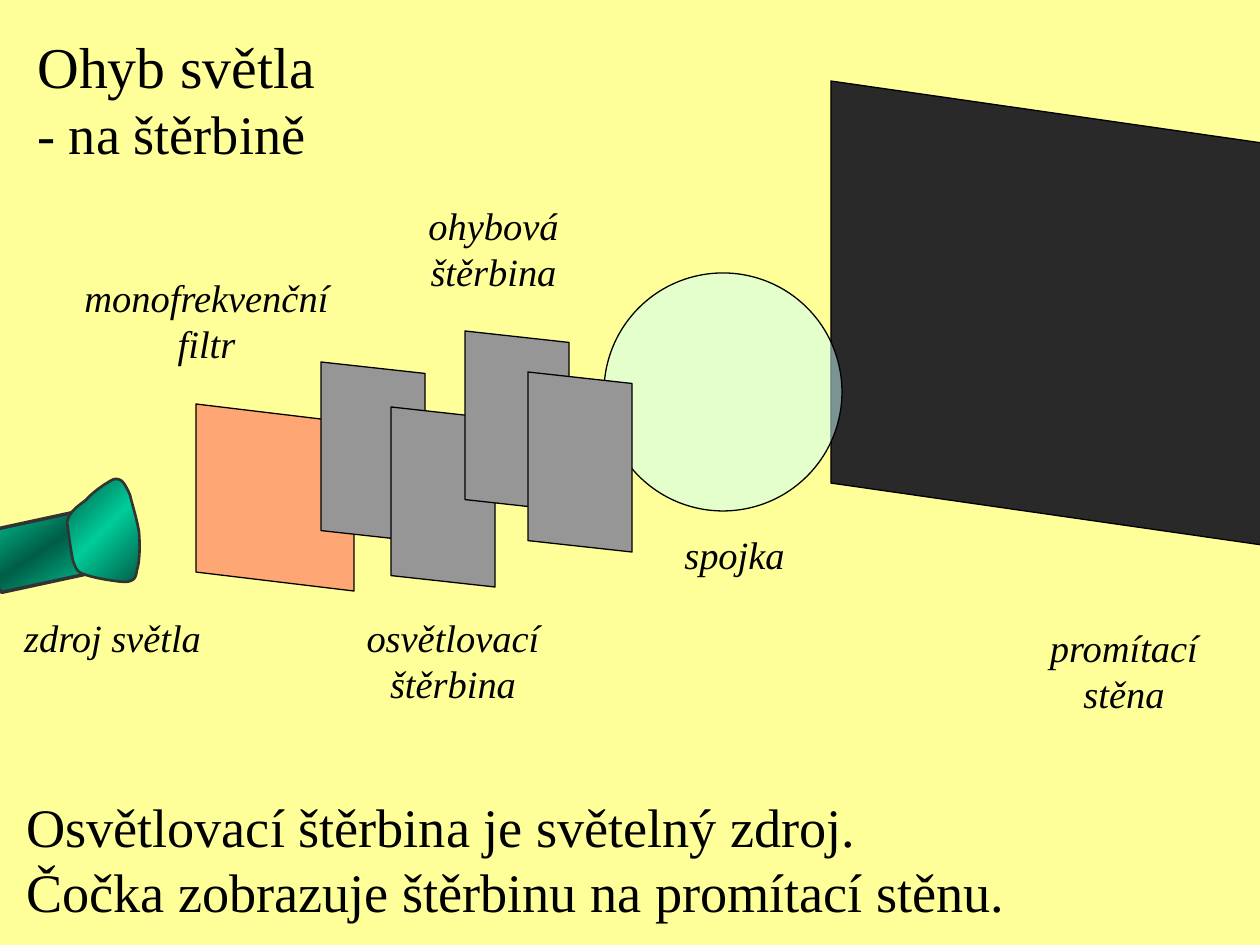
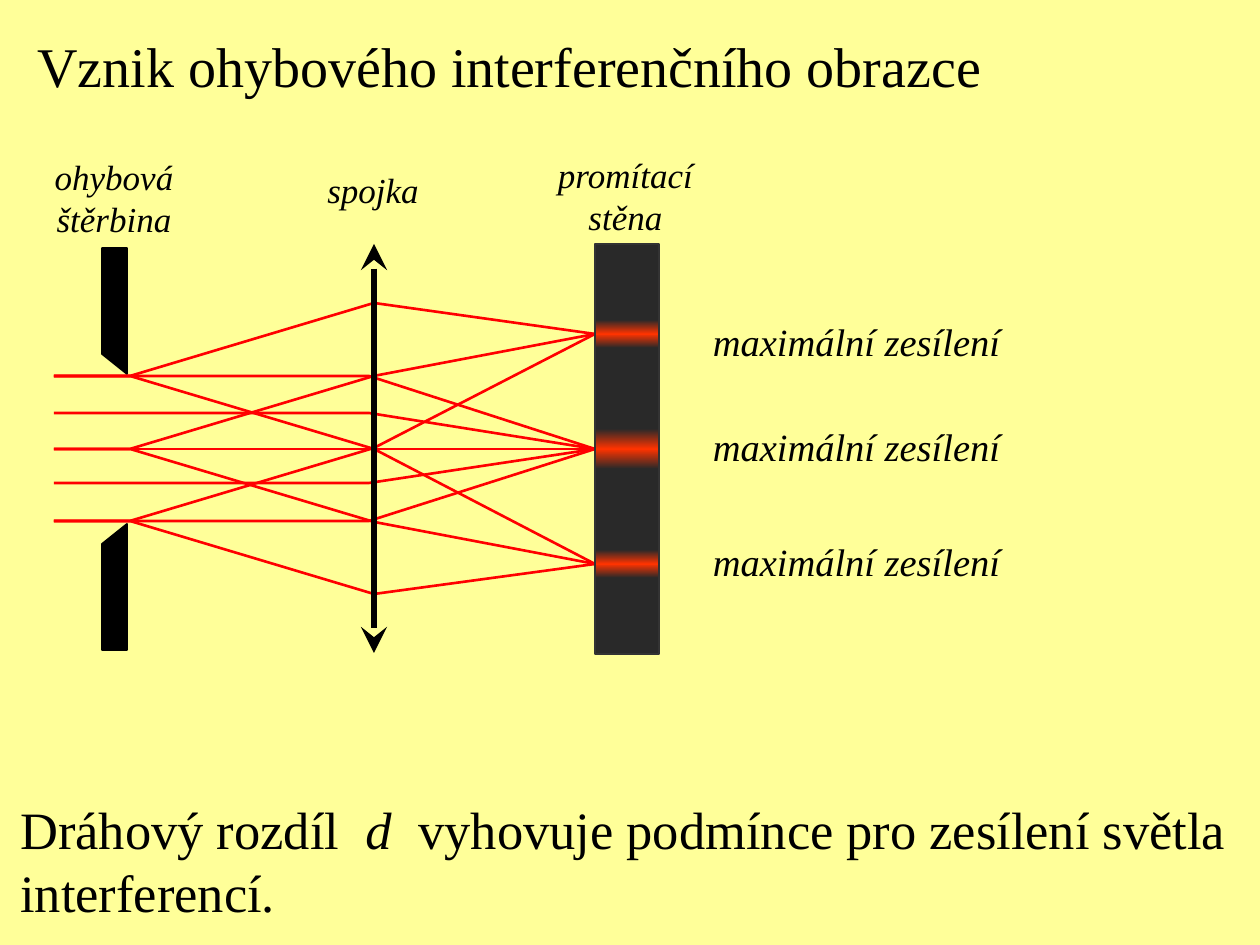
"""Build two slides on the diffraction of light at a slit."""
from lxml.etree import SubElement
from pptx import Presentation
from pptx.dml.color import RGBColor
from pptx.enum.shapes import MSO_CONNECTOR, MSO_SHAPE
from pptx.enum.text import MSO_AUTO_SIZE, PP_ALIGN
from pptx.oxml.ns import qn
from pptx.util import Emu, Pt

PX = 914400 / 126
FONT = "Times New Roman"
COLORS = {
    "paper": "FFFF99", "ink": "000000", "wall": "292929", "edge": "333333",
    "filter": "FF5050", "lens": "CCFFFF", "slit": "969696", "ray": "FF0000",
    "maximum": "FF3300", "torch": "00CC99", "torch_dark": "005E47",
}

SETUP_TITLE = [("Ohyb světla", 33), ("- na štěrbině", 31)]
SETUP_NOTE = [("Osvětlovací štěrbina je světelný zdroj.", 31),
              ("Čočka zobrazuje štěrbinu na promítací stěnu.", 31)]
SETUP_LABELS = [
    (["zdroj světla"], 10, 608, 205),
    (["monofrekvenční", "filtr"], 70, 268, 273),
    (["osvětlovací", "štěrbina"], 353, 608, 200),
    (["ohybová", "štěrbina"], 415, 196, 157),
    (["spojka"], 669, 525, 131),
    (["promítací", "stěna"], 1036, 618, 176),
]
WALL_BOARD = (831, 81, 494, 473)
FILTER_BOARD = (196, 404, 158, 187)
SLIT_BOARDS = [(321, 362), (391, 407), (465, 331), (528, 372)]
SLIT_SIZE = (104, 180)
LENS = (604, 273, 238, 238)
TORCH_BODY = (8, 501, 63, 102)
TORCH_HEAD_START = (67, 522)
TORCH_HEAD_CURVES = [
    ((69, 512), (78, 506), (86, 500)), ((92, 493), (102, 486), (107, 483)),
    ((113, 479), (116, 478), (120, 480)), ((123, 481), (126, 486), (130, 495)),
    ((132, 504), (137, 519), (139, 532)), ((140, 544), (140, 561), (137, 570)),
    ((136, 577), (135, 581), (126, 582)), ((117, 582), (94, 578), (86, 575)),
    ((77, 572), (77, 571), (73, 561)), ((71, 552), (68, 529), (67, 522)),
]

PATTERN_TITLE = [("Vznik ohybového interferenčního obrazce", 32)]
PATTERN_NOTE = [("Dráhový rozdíl\t*d*\tvyhovuje podmínce pro zesílení světla", 30),
                ("interferencí.", 30)]
PATTERN_NOTE_TABS = (345, 398)
PATTERN_LABELS = [
    (["ohybová", "štěrbina"], 41, 149, 146),
    (["spojka"], 312, 162, 122),
    (["promítací", "stěna"], 544, 147, 163),
]
MAXIMUM_LABEL, MAXIMUM_LABEL_TOPS = "maximální zesílení", (312, 417, 532)
AXIS_Y, SLIT_X, LENS_X, SCREEN_X = 449, 130, 374, 595
SLIT_YS = (376, AXIS_Y, 521)
BENT_YS = (376, 413, 483, 521)
RAY_START, RAY_SHIFT = 54, 73
UPPER_Y, LOWER_Y = 334, 564
SCREEN = (SCREEN_X, 244, 64, 410)
MAXIMA = [(UPPER_Y, 28), (AXIS_Y, 40), (LOWER_Y, 28)]
SLIT_EDGE = [(102, 248), (127, 248), (127, 374), (102, 354)]


def px(value):
    return Emu(round(value * PX))


def rgb(name):
    return RGBColor.from_string(COLORS[name])


def paint(sp, fill=None, line=None, width=0.75, alpha=None):
    sp.shadow.inherit = False
    if fill:
        sp.fill.solid()
        sp.fill.fore_color.rgb = rgb(fill)
        if alpha:
            color = sp.fill._xPr.find(qn("a:solidFill"))[0]
            SubElement(color, qn("a:alpha"), val=str(alpha * 1000))
    else:
        sp.fill.background()
    if line:
        sp.line.color.rgb = rgb(line)
        sp.line.width = Pt(width)
    else:
        sp.line.fill.background()
    return sp


def blend(sp, outer, middle, angle):
    sp.fill.gradient()
    grad = sp.fill._xPr.find(qn("a:gradFill"))
    stops = grad.find(qn("a:gsLst"))
    for stop in list(stops):
        stops.remove(stop)
    for pos, name in ((0, outer), (50, middle), (100, outer)):
        stop = SubElement(stops, qn("a:gs"), pos=str(pos * 1000))
        SubElement(stop, qn("a:srgbClr"), val=COLORS[name])
    lin = grad.find(qn("a:lin"))
    lin.set("ang", str(angle * 60000))
    lin.set("scaled", "0")


def add_preset(slide, kind, box, **style):
    return paint(slide.shapes.add_shape(kind, *map(px, box)), **style)


def add_board(slide, box, skew, **style):
    left, top, w, h = box
    turned = (left + (w - h) / 2, top + (h - w) / 2, h, w)
    sp = add_preset(slide, MSO_SHAPE.PARALLELOGRAM, turned, line="ink", **style)
    sp.adjustments[0] = skew
    sp.rotation = 270


def add_outline(slide, points, close=False, **style):
    start, *rest = [(px(x), px(y)) for x, y in points]
    builder = slide.shapes.build_freeform(*start)
    builder.add_line_segments(rest, close=close)
    return paint(builder.convert_to_shape(), **style)


def add_line(slide, start, end, color, width, head=None):
    cx = slide.shapes.add_connector(MSO_CONNECTOR.STRAIGHT, *map(px, start + end))
    cx.line.color.rgb = rgb(color)
    cx.line.width = Pt(width)
    if head:
        ln = cx.line._get_or_add_ln()
        for tag in ("a:headEnd", "a:tailEnd"):
            SubElement(ln, qn(tag), type=head, w="lg", len="lg")
    SubElement(cx._element.spPr, qn("a:effectLst"))


def trace_curves(start, curves, steps=10):
    points = [start]
    for c1, c2, end in curves:
        begin = points[-1]
        for i in range(1, steps + 1):
            t = i / steps
            u = 1 - t
            points.append(tuple(
                u**3 * a + 3 * u * u * t * b + 3 * u * t * t * c + t**3 * d
                for a, b, c, d in zip(begin, c1, c2, end)))
    return points


def add_text(slide, lines, left, top, width, italic=False, align=PP_ALIGN.LEFT, tabs=()):
    height = sum(size for _, size in lines) * 1.2 * 126 / 72 + 13
    tf = slide.shapes.add_textbox(px(left), px(top), px(width), px(height)).text_frame
    tf.word_wrap = False
    tf.auto_size = MSO_AUTO_SIZE.SHAPE_TO_FIT_TEXT
    for i, (text, size) in enumerate(lines):
        p = tf.paragraphs[0] if i == 0 else tf.add_paragraph()
        p.alignment = align
        if tabs and "\t" in text:
            tab_list = SubElement(p._p.get_or_add_pPr(), qn("a:tabLst"))
            for tab in tabs:
                SubElement(tab_list, qn("a:tab"), pos=str(px(tab)), algn="l")
        p.font.name, p.font.size = FONT, Pt(size)
        p.font.italic = italic
        p.font.color.rgb = rgb("ink")
        for k, part in enumerate(text.split("*")):
            r = p.add_run()
            r.text = part
            if k % 2:
                r.font.italic = True


def add_labels(slide, labels, size):
    for words, left, top, width in labels:
        add_text(slide, [(word, size) for word in words], left, top, width,
                 italic=True, align=PP_ALIGN.CENTER)


def add_ray(slide, *points):
    add_outline(slide, points, line="ray", width=1.5)


def add_diffracted_rays(slide, shift, target):
    for y in SLIT_YS:
        add_ray(slide, (RAY_START, y), (SLIT_X, y), (LENS_X, y + shift), (SCREEN_X, target))


def new_slide(prs, title, title_width):
    slide = prs.slides.add_slide(prs.slide_layouts[6])
    slide.background.fill.solid()
    slide.background.fill.fore_color.rgb = rgb("paper")
    add_text(slide, title, 25, 25, title_width)
    return slide


def build_setup(prs):
    slide = new_slide(prs, SETUP_TITLE, 310)
    add_text(slide, SETUP_NOTE, 14, 787, 1008)
    add_board(slide, WALL_BOARD, 0.15, fill="wall")
    add_board(slide, FILTER_BOARD, 0.12, fill="filter", alpha=50)
    add_preset(slide, MSO_SHAPE.OVAL, LENS, fill="lens", alpha=50, line="ink")
    add_labels(slide, SETUP_LABELS, 22)
    body = add_preset(slide, MSO_SHAPE.CAN, TORCH_BODY, line="edge", width=2)
    body.adjustments[0] = 0.19
    body.rotation = 77.8
    blend(body, "torch", "torch_dark", 159)
    head = add_outline(slide, trace_curves(TORCH_HEAD_START, TORCH_HEAD_CURVES),
                       close=True, line="edge", width=1.5)
    blend(head, "torch_dark", "torch", 45)
    for corner in SLIT_BOARDS:
        add_board(slide, corner + SLIT_SIZE, 0.11, fill="slit")


def build_pattern(prs):
    slide = new_slide(prs, PATTERN_TITLE, 975)
    add_line(slide, (RAY_START, AXIS_Y), (SCREEN_X, AXIS_Y), "ray", 1.5)
    for y in BENT_YS:
        add_ray(slide, (RAY_START, y), (LENS_X - 5, y), (SCREEN_X, AXIS_Y))
    add_diffracted_rays(slide, RAY_SHIFT, LOWER_Y)
    mirrored = [(x, 2 * AXIS_Y - y) for x, y in SLIT_EDGE]
    for edge in (SLIT_EDGE, mirrored):
        add_outline(slide, edge, close=True, fill="ink", line="ink", width=1)
    add_text(slide, PATTERN_NOTE, 8, 791, 1235, tabs=PATTERN_NOTE_TABS)
    add_labels(slide, PATTERN_LABELS, 20)
    add_diffracted_rays(slide, -RAY_SHIFT, UPPER_Y)
    add_preset(slide, MSO_SHAPE.RECTANGLE, SCREEN, fill="wall", line="edge", width=1)
    for y, height in MAXIMA:
        stripe = add_preset(slide, MSO_SHAPE.RECTANGLE,
                            (SCREEN_X + 1, y - height / 2, 62, height))
        blend(stripe, "wall", "maximum", 90)
    add_line(slide, (LENS_X, 244), (LENS_X, 653), "ink", 3, head="stealth")
    add_labels(slide, [([MAXIMUM_LABEL], 699, top, 315) for top in MAXIMUM_LABEL_TOPS], 22)


def main():
    prs = Presentation()
    prs.slide_width, prs.slide_height = px(1260), px(945)
    build_setup(prs)
    build_pattern(prs)
    prs.save("out.pptx")


if __name__ == "__main__":
    main()
